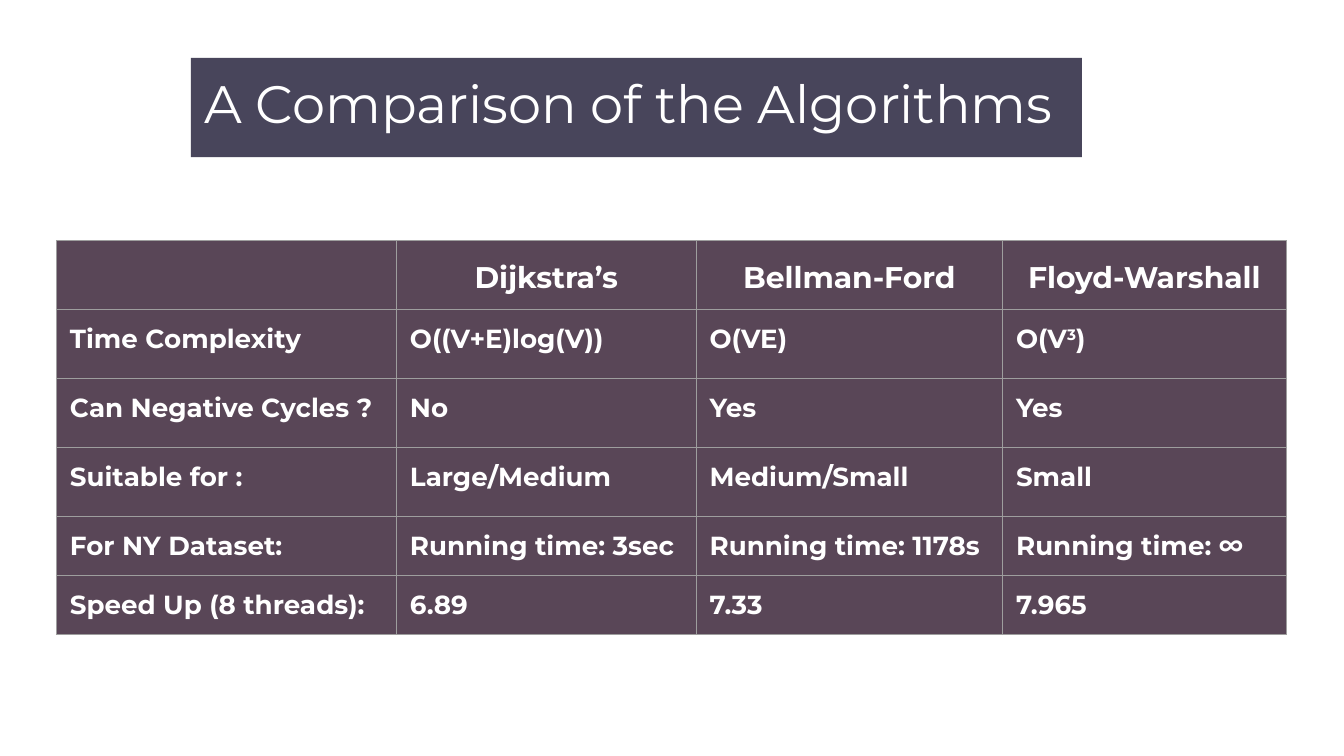
import pptx
import pptx.dml.color
import pptx.enum.text
import pptx.oxml
import pptx.oxml.ns
import pptx.util
from lxml import etree

Inches, Pt = pptx.util.Inches, pptx.util.Pt
ALIGN = pptx.enum.text.PP_ALIGN
ANCHOR = pptx.enum.text.MSO_ANCHOR

FONT = "Montserrat"
COLORS = {"title": "15112D", "cell": "250C23", "border": "9E9E9E", "text": "FFFFFF"}
PADDING = Inches(0.1)

# Slide of 16 by 9
SLIDE_WIDTH = Inches(10)
SLIDE_HEIGHT = SLIDE_WIDTH * 9 // 16

# Column widths in inches, row heights in points
COLUMN_WIDTHS = [2.53, 2.23, 2.28, 2.11]
ROW_HEIGHTS = [37] * 4 + [29] * 2
# A caret marks the start and end of a superscript
COMPARISON = [
    ["", "Dijkstra’s", "Bellman-Ford", "Floyd-Warshall"],
    ["Time Complexity", "O((V+E)log(V))", "O(VE)", "O(V^3^)"],
    ["Can Negative Cycles ?", "No", "Yes", "Yes"],
    ["Suitable for :", "Large/Medium", "Medium/Small", "Small"],
    ["For NY Dataset:", "Running time: 3sec", "Running time: 1178s", "Running time: ∞"],
    ["Speed Up (8 threads):", "6.89", "7.33", "7.965"],
]


def fill_translucent(fill, color, opacity):
    fill.solid()
    fill.fore_color.rgb = pptx.dml.color.RGBColor.from_string(COLORS[color])
    # The colour element is reached through the fill's own XML
    rgb = fill._xPr.find(".//" + pptx.oxml.ns.qn("a:srgbClr"))
    etree.SubElement(rgb, pptx.oxml.ns.qn("a:alpha"), val=str(opacity * 1000))


def format_font(font, size, bold):
    font.name = FONT
    font.size = Pt(size)
    font.bold = bold
    font.color.rgb = pptx.dml.color.RGBColor.from_string(COLORS["text"])


def pad(box):
    box.margin_left = box.margin_right = PADDING
    box.margin_top = box.margin_bottom = PADDING
    box.vertical_anchor = ANCHOR.TOP


def add_borders(cell):
    properties = cell._tc.get_or_add_tcPr()
    for index, side in enumerate("LRTB"):
        line = pptx.oxml.parse_xml(
            f'<a:ln{side} {pptx.oxml.ns.nsdecls("a")} w="{Pt(0.75)}"><a:solidFill>'
            f'<a:srgbClr val="{COLORS["border"]}"/></a:solidFill></a:ln{side}>')
        properties.insert(index, line)


def write_cell(cell, text, is_header):
    pad(cell)
    fill_translucent(cell.fill, "cell", 76)
    add_borders(cell)
    paragraph = cell.text_frame.paragraphs[0]
    size = 16 if is_header else 14
    if is_header:
        paragraph.alignment = ALIGN.CENTER
        paragraph.line_spacing = 1.15
        paragraph.space_after = Pt(16)
    if not text:
        paragraph.font.size = Pt(size)
        return
    base, *rest = text.split("^")
    paragraph.text = base
    for part in rest:
        paragraph.add_run().text = part
    for index, run in enumerate(paragraph.runs):
        format_font(run.font, size, True)
        if index % 2:
            run.font._element.set("baseline", "30000")


def add_title(slide, text):
    title = slide.shapes.title
    title.left, title.top = Inches(1.42), Inches(0.43)
    title.width, title.height = Inches(6.63), Inches(0.74)
    fill_translucent(title.fill, "title", 78)
    frame = title.text_frame
    frame.text = text
    frame.word_wrap = True
    frame.auto_size = pptx.enum.text.MSO_AUTO_SIZE.NONE
    pad(frame)
    frame.paragraphs[0].alignment = ALIGN.LEFT
    format_font(frame.paragraphs[0].runs[0].font, 28.2, False)


def add_comparison(slide):
    table = slide.shapes.add_table(
        len(ROW_HEIGHTS), len(COLUMN_WIDTHS), Inches(0.42), Inches(1.79),
        Inches(sum(COLUMN_WIDTHS)), Pt(sum(ROW_HEIGHTS))).table
    table.horz_banding = False
    for column, width in zip(table.columns, COLUMN_WIDTHS):
        column.width = Inches(width)
    for index, (row, height) in enumerate(zip(table.rows, ROW_HEIGHTS)):
        row.height = Pt(height)
        for cell, text in zip(row.cells, COMPARISON[index]):
            write_cell(cell, text, index == 0)


def main():
    presentation = pptx.Presentation()
    presentation.slide_width = SLIDE_WIDTH
    presentation.slide_height = SLIDE_HEIGHT
    slide = presentation.slides.add_slide(presentation.slide_layouts[5])
    add_title(slide, "A Comparison of the Algorithms")
    add_comparison(slide)
    presentation.save("out.pptx")


if __name__ == "__main__":
    main()
